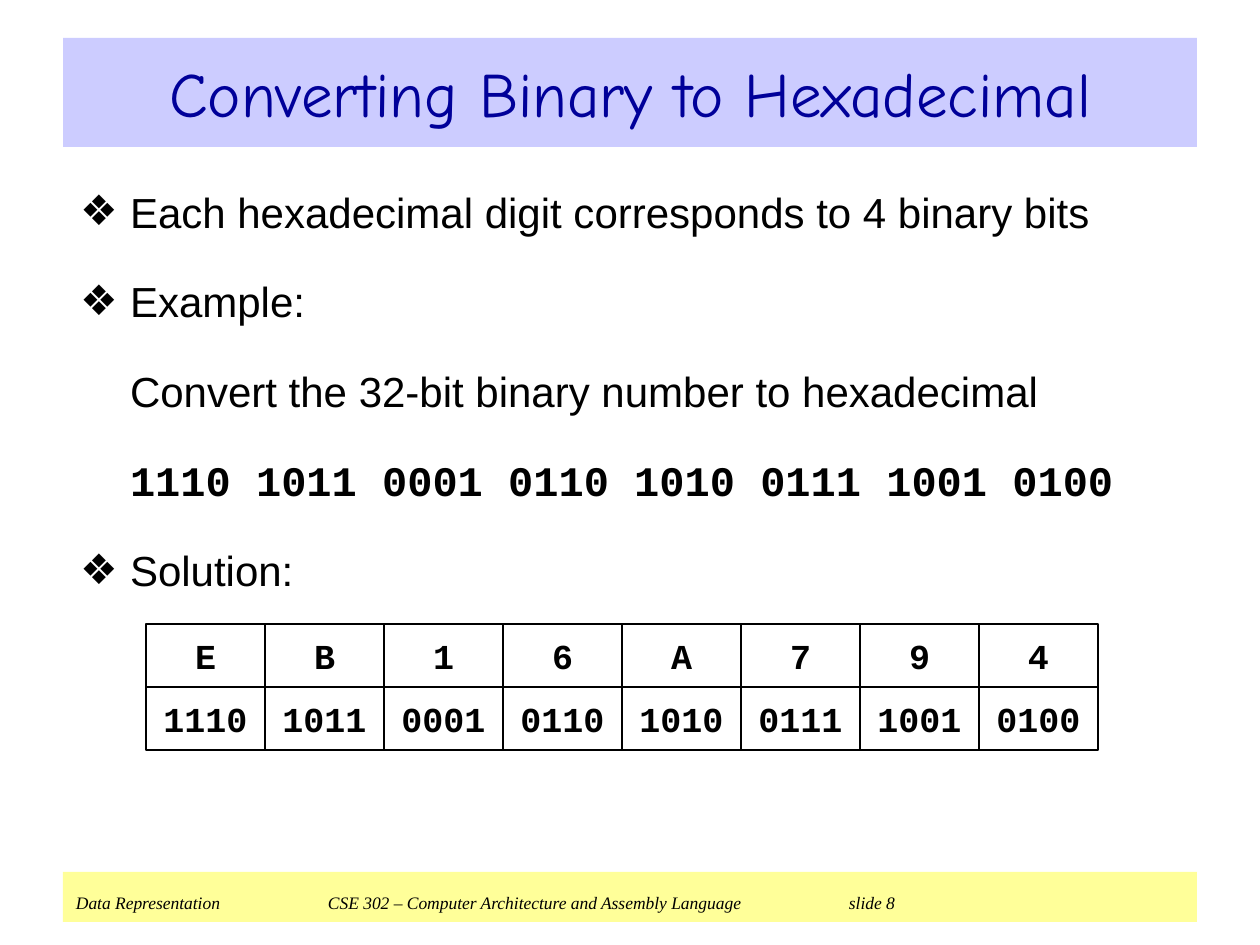
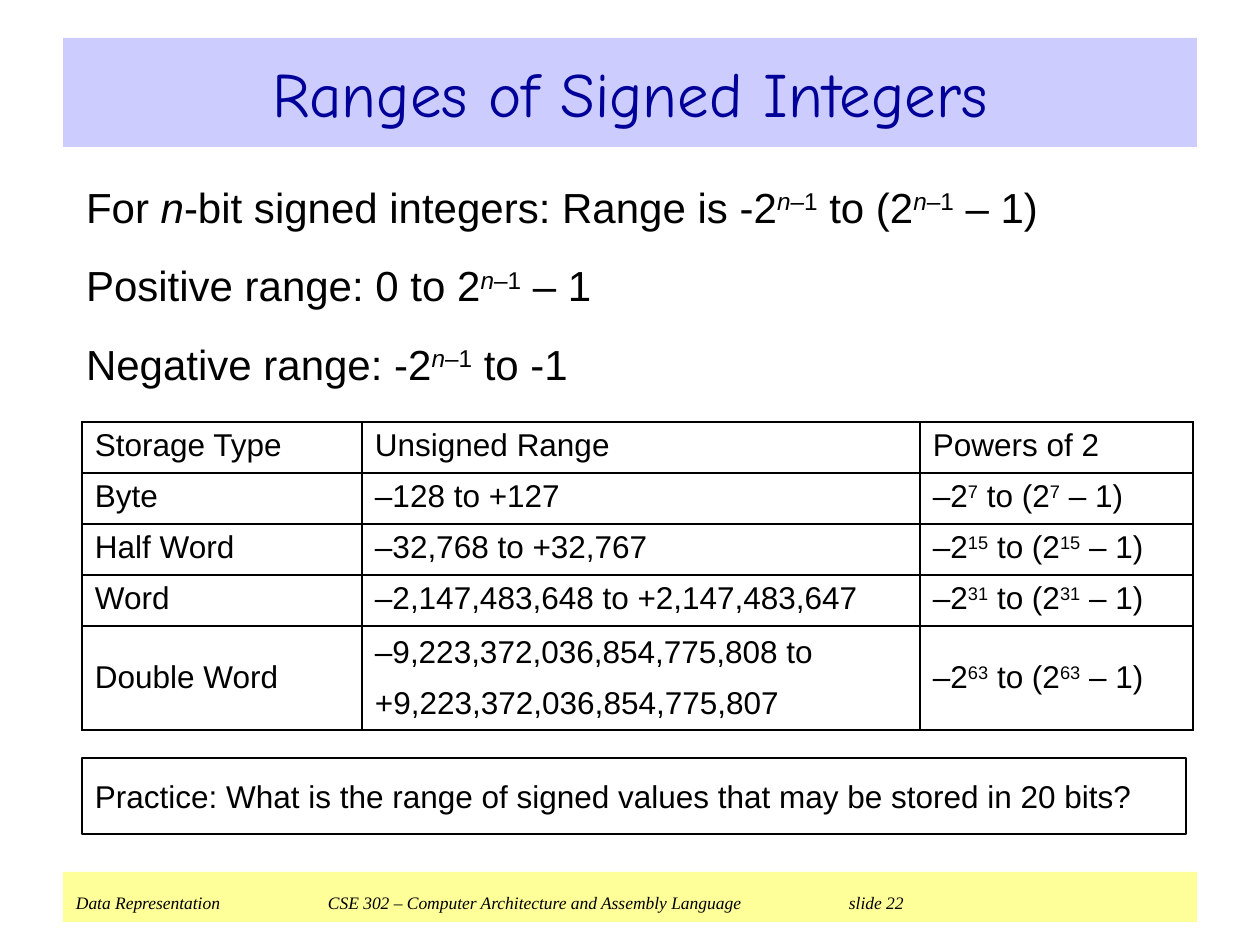
import pptx
import pptx.util
import pptx.dml.color
import pptx.enum.shapes
import pptx.enum.text
import pptx.oxml
import pptx.oxml.ns

EMU_PER_PX = 914400 / 126
COLORS = {
    "title": "000099",
    "title_band": "CCCCFF",
    "footer_band": "FFFF99",
    "ink": "000000",
}
SANS, MONO, SERIF, HAND = "Arial", "Courier New", "Times New Roman", "Comic Neue"
TITLE_BOX = (63, 38, 1134, 109)
FOOTER_BOX = (63, 872, 1134, 50)
FOOTER_TABS = (252, 773)
PLAIN_INSETS = (13, 6, 13, 6)
ROOMY_INSETS = (13, 19, 13, 19)
BODY_INSETS = (13, 23, 13, 19)
ALIGN = pptx.enum.text.PP_ALIGN
ANCHOR = pptx.enum.text.MSO_ANCHOR


def px(length):
    return pptx.util.Emu(round(length * EMU_PER_PX))


def rgb(name):
    return pptx.dml.color.RGBColor.from_string(COLORS[name])


def add_xml(parent, tag, content="", **attributes):
    listed = "".join(f' {key}="{value}"' for key, value in attributes.items())
    namespace = pptx.oxml.ns.nsdecls("a")
    element = pptx.oxml.parse_xml(f"<a:{tag} {namespace}{listed}>{content}</a:{tag}>")
    parent.append(element)


def place(shape, box):
    shape.left, shape.top, shape.width, shape.height = map(px, box)


def set_frame(text_frame, insets, anchor):
    text_frame.word_wrap = True
    text_frame.auto_size = pptx.enum.text.MSO_AUTO_SIZE.NONE
    text_frame.vertical_anchor = anchor
    (text_frame.margin_left, text_frame.margin_top,
     text_frame.margin_right, text_frame.margin_bottom) = map(px, insets)


def format_runs(paragraph, size, font=SANS, color="ink", bold=False):
    for run in paragraph.runs:
        run.font.size = pptx.util.Pt(size)
        run.font.name = font
        run.font.bold = bold
        run.font.color.rgb = rgb(color)


def write_formula(paragraph, text, size):
    for position, level in enumerate(text.split("^")):
        for part, words in enumerate(level.split("*")):
            if words:
                run = paragraph.add_run()
                run.text = words
                run.font.italic = part % 2 == 1
                if position % 2:
                    run.font._element.set("baseline", "30000")
    format_runs(paragraph, size)


def write_lines(text_frame, lines, size, gap):
    for index, line in enumerate(lines):
        paragraph = text_frame.add_paragraph() if index else text_frame.paragraphs[0]
        paragraph.alignment = ALIGN.LEFT
        paragraph.space_before = pptx.util.Pt(gap if index else 0)
        write_formula(paragraph, line, size)


def set_bullet(paragraph, indent, bullet):
    properties = paragraph._p.get_or_add_pPr()
    properties.set("marL", str(px(indent)))
    properties.set("indent", str(px(-indent if bullet else 0)))
    if bullet:
        add_xml(properties, "buFont", typeface=SANS)
        add_xml(properties, "buChar", char=bullet)
    else:
        add_xml(properties, "buNone")


def add_box(slide, box, fill=None, line_width=None):
    shape = slide.shapes.add_shape(pptx.enum.shapes.MSO_SHAPE.RECTANGLE, *map(px, box))
    shape.shadow.inherit = False
    if fill:
        shape.fill.solid()
        shape.fill.fore_color.rgb = rgb(fill)
    else:
        shape.fill.background()
    if line_width:
        shape.line.color.rgb = rgb("ink")
        shape.line.width = pptx.util.Pt(line_width)
    else:
        shape.line.fill.background()
    return shape


def add_footer(slide, number):
    band = add_box(slide, FOOTER_BOX, fill="footer_band")
    set_frame(band.text_frame, (13, 6, 13, 9), ANCHOR.BOTTOM)
    paragraph = band.text_frame.paragraphs[0]
    paragraph.text = ("Data Representation\tCSE 302 – Computer Architecture and "
                      f"Assembly Language\tslide {number}")
    paragraph.alignment = ALIGN.LEFT
    format_runs(paragraph, 10, SERIF)
    for run in paragraph.runs:
        run.font.italic = True
    stops = "".join(f'<a:tab pos="{px(stop)}" algn="l"/>' for stop in FOOTER_TABS)
    add_xml(paragraph._p.get_or_add_pPr(), "tabLst", stops)


def add_slide(presentation, title, number, body_box, lines, gap):
    slide = presentation.slides.add_slide(presentation.slide_layouts[1])
    add_footer(slide, number)
    heading = slide.shapes.title
    place(heading, TITLE_BOX)
    heading.fill.solid()
    heading.fill.fore_color.rgb = rgb("title_band")
    set_frame(heading.text_frame, PLAIN_INSETS, ANCHOR.MIDDLE)
    heading.text_frame.text = title
    paragraph = heading.text_frame.paragraphs[0]
    paragraph.alignment = ALIGN.CENTER
    format_runs(paragraph, 36, HAND, "title")
    body = slide.placeholders[1]
    place(body, body_box)
    set_frame(body.text_frame, BODY_INSETS, ANCHOR.TOP)
    write_lines(body.text_frame, lines, 24, gap)
    return slide, body.text_frame.paragraphs


def add_digit_grid(slide, left, top, width, height, rows):
    for row, values in enumerate(rows):
        for column, value in enumerate(values):
            box = (left + column * width, top + row * height, width, height)
            cell = add_box(slide, box, line_width=1.5)
            set_frame(cell.text_frame, (0, 0, 0, 0), ANCHOR.MIDDLE)
            cell.text_frame.text = value
            paragraph = cell.text_frame.paragraphs[0]
            paragraph.alignment = ALIGN.CENTER
            format_runs(paragraph, 20, MONO, bold=True)


def format_cell(cell):
    properties = cell._tc.get_or_add_tcPr()
    line = f'<a:solidFill><a:srgbClr val="{COLORS["ink"]}"/></a:solidFill>'
    for side in ("lnL", "lnR", "lnT", "lnB"):
        add_xml(properties, side, line, w=pptx.util.Pt(0.75))
    cell.fill.background()
    (cell.margin_left, cell.margin_top,
     cell.margin_right, cell.margin_bottom) = map(px, PLAIN_INSETS)


def add_range_table(slide, left, top, widths, heights, rows):
    box = (left, top, sum(widths), sum(heights))
    table = slide.shapes.add_table(len(rows), len(widths), *map(px, box)).table
    table.first_row = False
    table.horz_banding = False
    for column, width in zip(table.columns, widths):
        column.width = px(width)
    for row, height, texts in zip(table.rows, heights, rows):
        row.height = px(height)
        for cell, text in zip(row.cells, texts):
            format_cell(cell)
            write_lines(cell.text_frame, text.split("\n"), 18, 9)
    for cell in table.rows[len(rows) - 1].cells:
        cell.vertical_anchor = ANCHOR.MIDDLE


def build_hexadecimal_slide(presentation):
    groups = "1110 1011 0001 0110 1010 0111 1001 0100"
    lines = [
        "Each hexadecimal digit corresponds to 4 binary bits",
        "Example:",
        "Convert the 32-bit binary number to hexadecimal",
        groups,
        "Solution:",
    ]
    slide, paragraphs = add_slide(presentation, "Converting Binary to Hexadecimal", 8,
                                  (67, 163, 1126, 437), lines, 22.4)
    for paragraph, bullet in zip(paragraphs, ("❖", "❖", None, None, "❖")):
        set_bullet(paragraph, 50, bullet)
    format_runs(paragraphs[3], 24, MONO, bold=True)
    add_digit_grid(slide, 146, 624, 119, 63, ["EB16A794", groups.split()])


def build_ranges_slide(presentation):
    lines = [
        "For *n*-bit signed integers: Range is -2^*n*–1^ to (2^*n*–1^ – 1)",
        "Positive range: 0 to 2^*n*–1^ – 1",
        "Negative range: -2^*n*–1^ to -1",
    ]
    slide, paragraphs = add_slide(presentation, "Ranges of Signed Integers", 22,
                                  (73, 158, 1113, 242), lines, 16.1)
    for paragraph in paragraphs:
        set_bullet(paragraph, 0, None)
    storage_types = [
        ("Byte", "–128 to +127", 7),
        ("Half Word", "–32,768 to +32,767", 15),
        ("Word", "–2,147,483,648 to +2,147,483,647", 31),
        ("Double Word", "–9,223,372,036,854,775,808 to\n+9,223,372,036,854,775,807", 63),
    ]
    rows = [("Storage Type", "Unsigned Range", "Powers of 2")]
    rows += [(name, values, f"–2^{power}^ to (2^{power}^ – 1)")
             for name, values, power in storage_types]
    add_range_table(slide, 82, 422, (280, 558, 273), (51, 51, 51, 51, 104), rows)
    practice = add_box(slide, (82, 758, 1104, 76), line_width=0.75)
    set_frame(practice.text_frame, ROOMY_INSETS, ANCHOR.TOP)
    question = "Practice: What is the range of signed values that may be stored in 20 bits?"
    write_lines(practice.text_frame, [question], 18, 0)


def main():
    presentation = pptx.Presentation()
    presentation.slide_width = px(1260)
    presentation.slide_height = px(945)
    build_hexadecimal_slide(presentation)
    build_ranges_slide(presentation)
    presentation.save("out.pptx")


if __name__ == "__main__":
    main()
